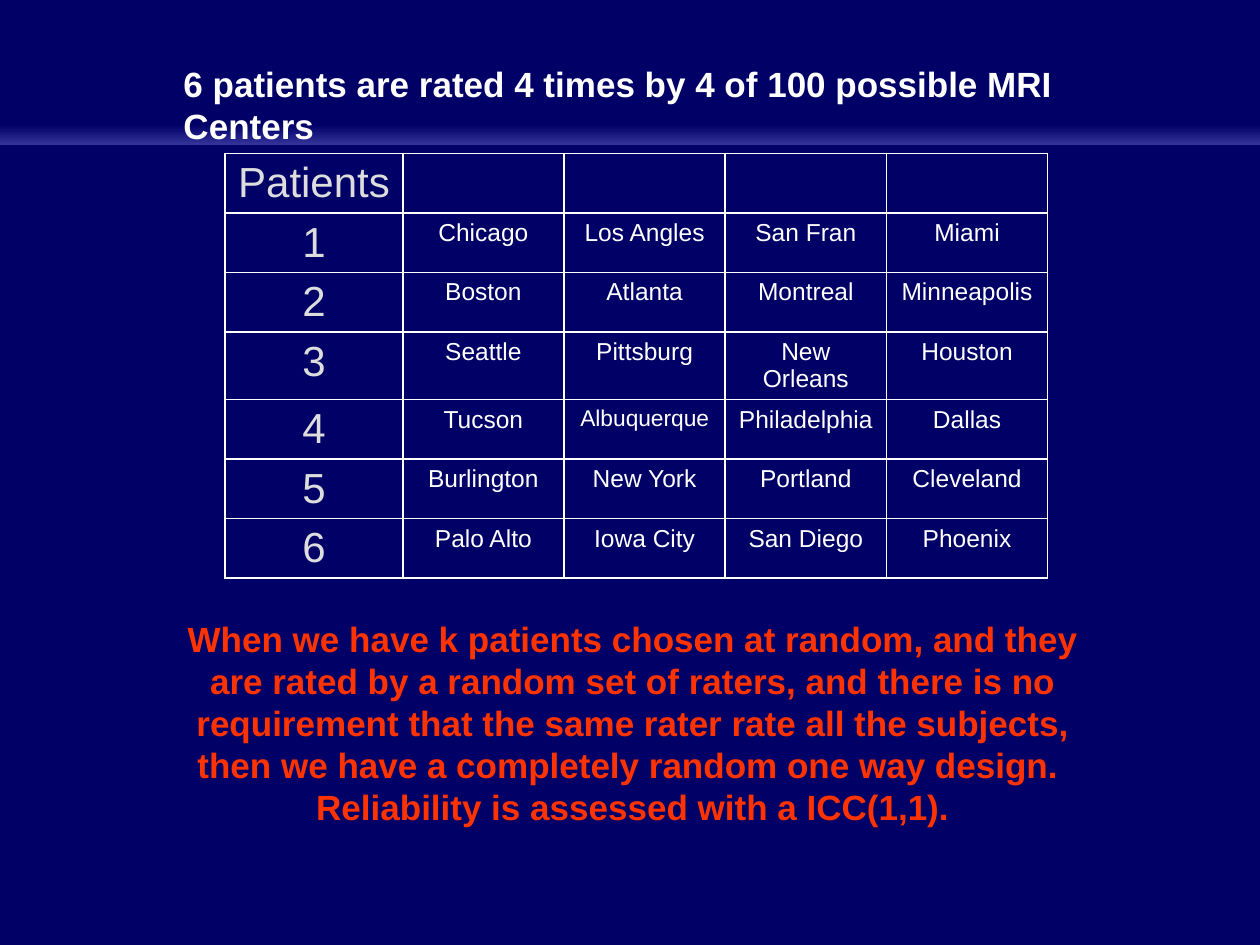
from dataclasses import dataclass

from lxml import etree
from pptx import Presentation
from pptx.dml.color import RGBColor
from pptx.enum.shapes import MSO_SHAPE
from pptx.enum.text import PP_ALIGN
from pptx.oxml.ns import qn
from pptx.util import Cm, Pt

LEFT, CENTER = PP_ALIGN.LEFT, PP_ALIGN.CENTER
RECTANGLE = MSO_SHAPE.RECTANGLE

TITLE = "6 patients are rated 4 times by 4 of 100 possible MRI Centers"
CONCLUSION = (
    "When we have k patients chosen at random, and they are rated by a random "
    "set of raters, and there is no requirement that the same rater rate all "
    "the subjects, then we have a completely random one way design.  "
    "Reliability is assessed with a ICC(1,1)."
)
RATINGS = [
    ("Patients", "", "", "", ""),
    ("1", "Chicago", "Los Angles", "San Fran", "Miami"),
    ("2", "Boston", "Atlanta", "Montreal", "Minneapolis"),
    ("3", "Seattle", "Pittsburg", "New Orleans", "Houston"),
    ("4", "Tucson", "Albuquerque", "Philadelphia", "Dallas"),
    ("5", "Burlington", "New York", "Portland", "Cleveland"),
    ("6", "Palo Alto", "Iowa City", "San Diego", "Phoenix"),
]
COLUMN_WIDTHS = [Cm(3.58)] + [Cm(3.25)] * 4
ROW_HEIGHT, TWO_LINE_ROW_HEIGHT = Cm(1.2), Cm(1.36)
TWO_LINE_ROW = 3


@dataclass(frozen=True)
class Theme:
    """Colours, font and type sizes of the slide."""
    font: str = "Arial"
    navy: str = "000066"
    indigo: str = "333399"
    white: str = "FFFFFF"
    grey: str = "DDDDDD"
    red: str = "FF3300"
    text_size: int = 20
    patient_size: int = 24
    center_size: int = 14
    long_name_size: int = 13


THEME = Theme()


def style(paragraph, size, color, alignment, bold=False):
    """Set the font and alignment of one paragraph."""
    paragraph.alignment = alignment
    font = paragraph.font
    font.name, font.size, font.bold = THEME.font, Pt(size), bold
    font.color.rgb = RGBColor.from_string(color)


def add_backdrop(slide):
    """Fill the background and add the glowing band under the title."""
    fill = slide.background.fill
    fill.solid()
    fill.fore_color.rgb = RGBColor.from_string(THEME.navy)
    band = slide.shapes.add_shape(RECTANGLE, 0, Cm(2.51), Cm(25.4), Cm(0.41))
    band.shadow.inherit = False
    band.line.fill.background()
    band.fill.gradient()
    band.fill.gradient_angle = 270
    for stop, position, color in zip(
            band.fill.gradient_stops, (0, 1), (THEME.navy, THEME.indigo)):
        stop.position = position
        stop.color.rgb = RGBColor.from_string(color)


def add_text(slide, text, box, color, alignment):
    """Add one wrapped bold paragraph."""
    frame = slide.shapes.add_textbox(*box).text_frame
    frame.word_wrap = True
    paragraph = frame.paragraphs[0]
    paragraph.text = text
    style(paragraph, THEME.text_size, color, alignment, bold=True)


def add_borders(cell):
    """Draw thin white lines on all four sides of a cell."""
    properties = cell._tc.get_or_add_tcPr()
    for index, side in enumerate(("a:lnL", "a:lnR", "a:lnT", "a:lnB")):
        line = etree.Element(qn(side), w=str(Pt(1)))
        fill = etree.SubElement(line, qn("a:solidFill"))
        etree.SubElement(fill, qn("a:srgbClr"), val=THEME.white)
        properties.insert(index, line)


def cell_style(text, column):
    """Return the type size and colour of a table entry."""
    if column == 0:
        return THEME.patient_size, THEME.grey
    if text == "Albuquerque":
        return THEME.long_name_size, THEME.white
    return THEME.center_size, THEME.white


def add_ratings(slide):
    """Add the table of patients and the centers that rated them."""
    heights = [TWO_LINE_ROW_HEIGHT if row == TWO_LINE_ROW else ROW_HEIGHT
               for row in range(len(RATINGS))]
    table = slide.shapes.add_table(
        len(RATINGS), len(COLUMN_WIDTHS), Cm(4.54), Cm(3.09),
        sum(COLUMN_WIDTHS), sum(heights)).table
    table.first_row = table.horz_banding = False
    for column, width in zip(table.columns, COLUMN_WIDTHS):
        column.width = width
    for row, height, entries in zip(table.rows, heights, RATINGS):
        row.height = height
        for column, (cell, text) in enumerate(zip(row.cells, entries)):
            cell.fill.background()
            add_borders(cell)
            cell.text = text
            size, color = cell_style(text, column)
            style(cell.text_frame.paragraphs[0], size, color, CENTER)


def main():
    """Build and save the slide."""
    presentation = Presentation()
    presentation.slide_width, presentation.slide_height = Cm(25.4), Cm(19.05)
    slide = presentation.slides.add_slide(presentation.slide_layouts[6])
    add_backdrop(slide)
    add_ratings(slide)
    add_text(slide, TITLE, (Cm(3.45), Cm(1.14), Cm(20.6), Cm(1.09)),
             THEME.white, LEFT)
    add_text(slide, CONCLUSION, (Cm(3.02), Cm(12.32), Cm(19.48), Cm(4.5)),
             THEME.red, CENTER)
    presentation.save("out.pptx")


main()
